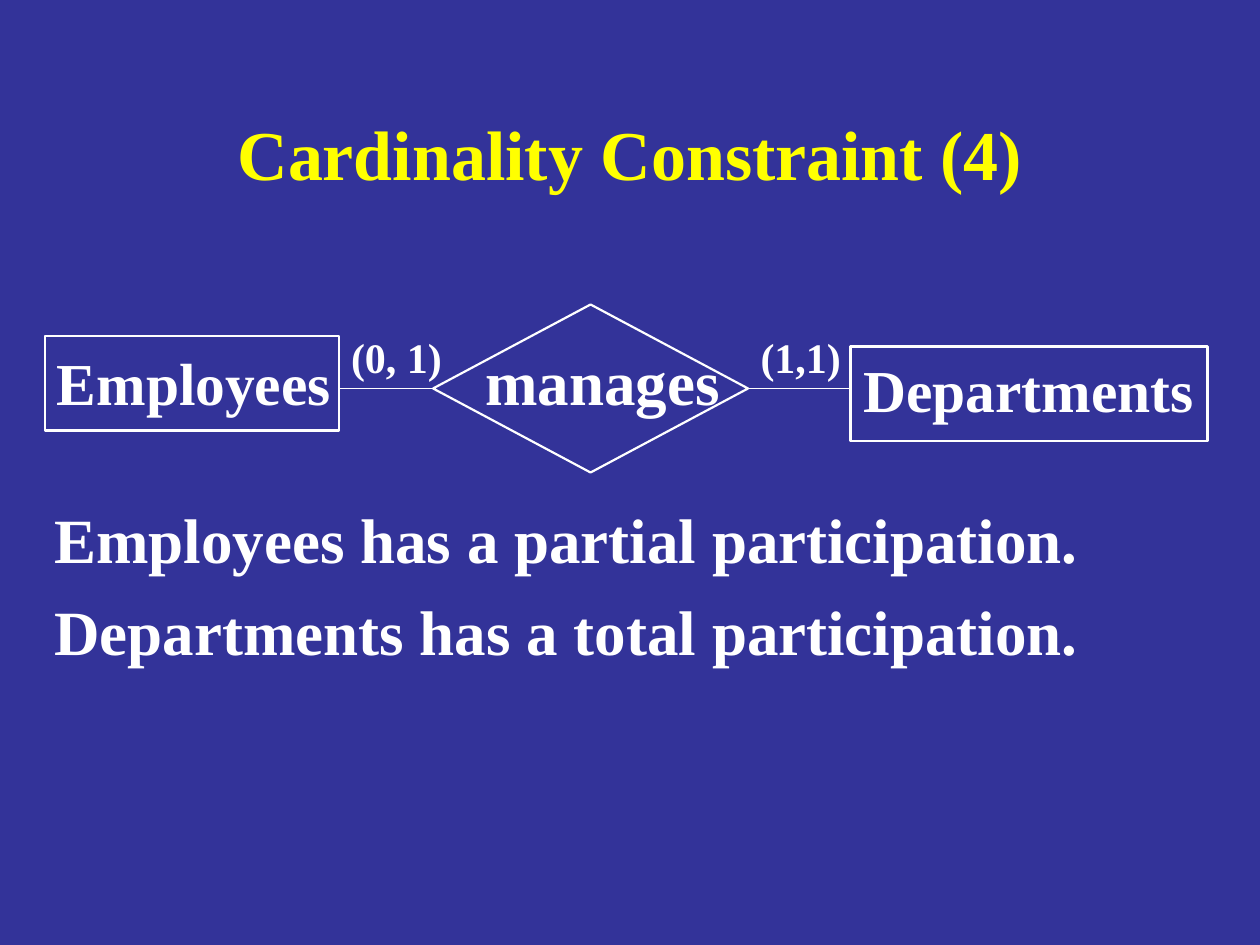
import pptx
import pptx.util
import pptx.dml.color
import pptx.enum.shapes
import pptx.enum.text
import pptx.oxml

KIND = pptx.enum.shapes.MSO_SHAPE
LINK = pptx.enum.shapes.MSO_CONNECTOR
ALIGN = pptx.enum.text.PP_ALIGN
ANCHOR = pptx.enum.text.MSO_ANCHOR
FIT = pptx.enum.text.MSO_AUTO_SIZE
HUES = {"back": "333399", "title": "FFFF00", "text": "FFFFFF"}
FACE = {"name": "Times New Roman", "bold": True}
CELL = pptx.util.Inches(1) / 12
COLS, ROWS = 120, 90


def hue(key):
    """Return the named colour."""
    return pptx.dml.color.RGBColor.from_string(HUES[key])


def grid(*cells):
    """Turn grid cells into slide lengths."""
    return [round(cell * CELL) for cell in cells]


def within(box, left, top, width, height):
    """Shift a part into the box of its region."""
    return grid(box[0] + left, box[1] + top, width, height)


def style(target, **values):
    """Set each format value on the target."""
    for name, value in values.items():
        setattr(target, name, value)


def write(slide, place, lines, size, color="text", wrap=False,
          anchor=ANCHOR.TOP, align=ALIGN.LEFT, gap=0):
    """Add a text box with one paragraph for each line."""
    frame = slide.shapes.add_textbox(*place).text_frame
    fit = FIT.NONE if wrap else FIT.SHAPE_TO_FIT_TEXT
    style(frame, word_wrap=wrap, auto_size=fit, vertical_anchor=anchor)
    for index, line in enumerate(lines):
        para = frame.paragraphs[0] if index == 0 else frame.add_paragraph()
        para.alignment = align
        if index:
            para.space_before = pptx.util.Pt(gap)
        run = para.add_run()
        run.text = line
        style(run.font, size=pptx.util.Pt(size), **FACE)
        run.font.color.rgb = hue(color)


def outline(slide, kind, place):
    """Add an unfilled shape with a thin border."""
    shape = slide.shapes.add_shape(kind, *place)
    shape.shadow.inherit = False
    shape.fill.background()
    shape.line.color.rgb = hue("text")
    shape.line.width = pptx.util.Pt(1.25)
    return shape


def join(slide, diamond, side, start, end):
    """Link an entity edge to a corner of the diamond."""
    line = slide.shapes.add_connector(LINK.STRAIGHT, *start, *end)
    line.end_connect(diamond, side)
    line.line.color.rgb = hue("text")
    line.line.width = pptx.util.Pt(0.75)
    props = line._element.spPr
    props.append(props.makeelement(pptx.oxml.ns.qn("a:effectLst"), {}))


def title(slide, box):
    """Place the heading in the middle of its box."""
    write(slide, grid(*box), ["Cardinality Constraint (4)"], 40, "title",
          True, ANCHOR.MIDDLE, ALIGN.CENTER)


def diagram(slide, box):
    """Draw two entities linked by a relationship."""
    diamond = outline(slide, KIND.DIAMOND, within(box, 37, 0, 30, 16))
    ends = [((0, 3, 28, 9), 28, 37, 1), ((76.75, 4, 34, 9), 76.75, 67, 3)]
    for place, edge, tip, side in ends:
        outline(slide, KIND.RECTANGLE, within(box, *place))
        join(slide, diamond, side, within(box, edge, 8, 0, 0)[:2],
             within(box, tip, 8, 0, 0)[:2])
    labels = [
        ("manages", 36, (40.8, 3, 24.8, 8.4)),
        ("Employees", 34, (0, 3.4, 28.6, 8)),
        ("Departments", 34, (76.8, 4, 34, 8)),
        ("(0, 1)", 24, (28, 2, 11.2, 6)),
        ("(1,1)", 24, (67, 2, 10.2, 6)),
    ]
    for text, size, place in labels:
        write(slide, within(box, *place), [text], size)


def notes(slide, box):
    """Place the statements below the diagram."""
    lines = ["Employees has a partial participation.",
             "Departments has a total participation."]
    write(slide, grid(*box), lines, 36, wrap=True, gap=9)


def main():
    """Build the slide and save it."""
    deck = pptx.Presentation()
    deck.slide_width, deck.slide_height = grid(COLS, ROWS)
    slide = deck.slides.add_slide(deck.slide_layouts[6])
    slide.background.fill.solid()
    slide.background.fill.fore_color.rgb = hue("back")
    title(slide, (9, 9, 102, 11))
    diagram(slide, (4.25, 29, 110.75, 16))
    notes(slide, (4, 47.1, 112, 38.9))
    deck.save("out.pptx")


if __name__ == "__main__":
    main()
